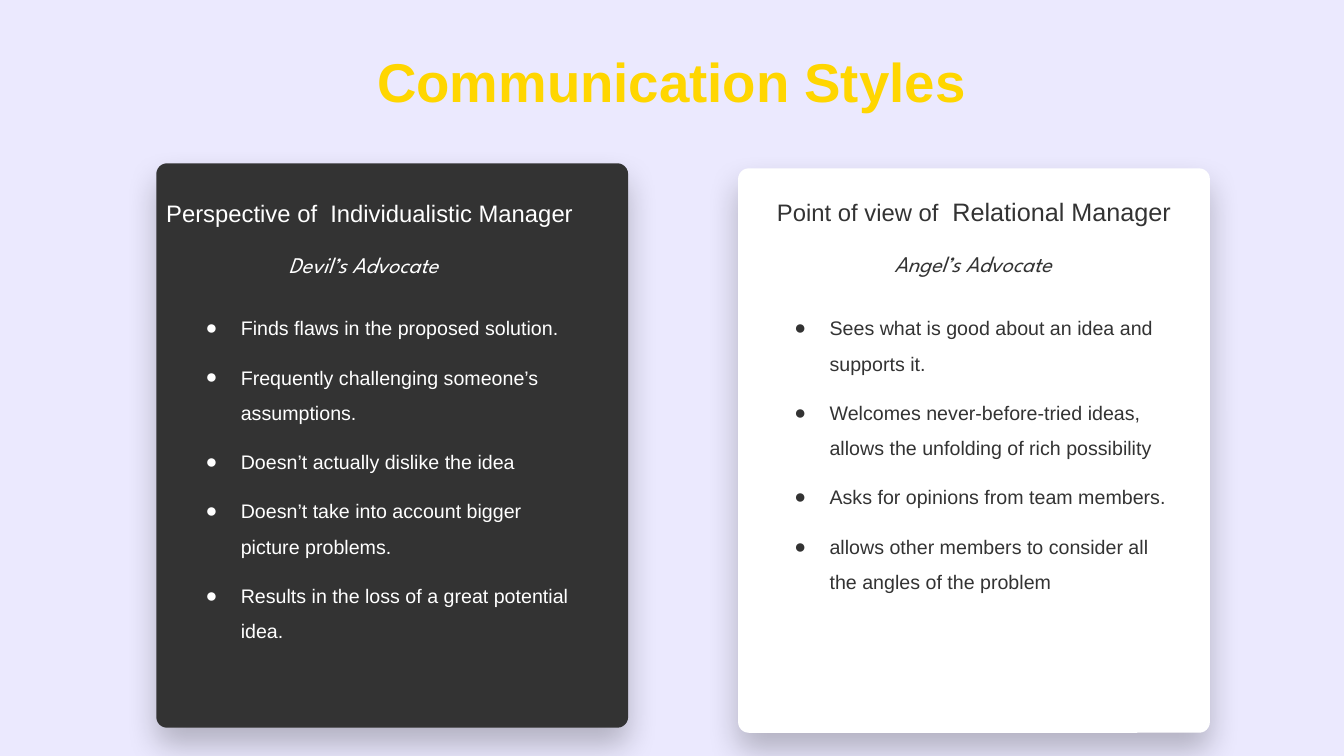
"""Build the Communication Styles slide with two contrasting manager cards."""
from dataclasses import dataclass

from lxml.etree import SubElement
from pptx import Presentation
from pptx.dml.color import RGBColor
from pptx.enum.shapes import MSO_SHAPE as Shape
from pptx.enum.text import MSO_ANCHOR as Anchor, MSO_AUTO_SIZE as AutoSize, PP_ALIGN as Align
from pptx.oxml.ns import qn
from pptx.util import Emu, Pt

PX = 9144
DARK, WHITE, GOLD, LAVENDER = "333333", "FFFFFF", "FFD600", "EBE9FE"
CARD_WIDTH, CARD_HEIGHT = 468, 560
LIST_TOP, LIST_WIDTH = 292, 406


@dataclass(frozen=True)
class Area:
    left: int
    top: int
    width: int
    height: int


@dataclass(frozen=True)
class Span:
    text: str
    size: int
    font: str = "Arial"
    bold: bool = False
    italic: bool = False


@dataclass(frozen=True)
class Card:
    left: int
    top: int
    fill: str
    ink: str
    heading: tuple[Span, ...]
    heading_area: Area
    heading_align: Align
    role: str
    role_area: Area
    list_left: int
    list_height: int
    points: tuple[str, ...]


CARDS = (
    Card(
        155, 162, DARK, WHITE,
        (Span("Perspective of  Individualistic Manager", 17),),
        Area(155, 192, 490, 39), Align.LEFT,
        "Devil’s Advocate", Area(197, 231, 327, 33),
        179, 383,
        (
            "Finds flaws in the proposed solution.",
            "Frequently challenging someone’s assumptions.",
            "Doesn’t actually dislike the idea",
            "Doesn’t take into account bigger picture problems.",
            "Results in the loss of a great potential idea.",
        ),
    ),
    Card(
        732, 167, WHITE, DARK,
        (Span("Point of view of ", 17), Span(" Relational Manager", 18)),
        Area(732, 190, 468, 40), Align.CENTER,
        "Angel’s Advocate", Area(804, 230, 322, 38),
        763, 369,
        (
            "Sees what is good about an idea and supports it.",
            "Welcomes never-before-tried ideas, allows the unfolding of rich possibility",
            "Asks for opinions from team members.",
            "allows other members to consider all the angles of the problem",
        ),
    ),
)


def px(length: int) -> Emu:
    return Emu(length * PX)


def colour(value: str) -> RGBColor:
    return RGBColor.from_string(value)


def bounds(area: Area) -> tuple[Emu, ...]:
    return px(area.left), px(area.top), px(area.width), px(area.height)


def prepare_frame(frame, inset: int = 5) -> None:
    frame.word_wrap = True
    frame.auto_size = AutoSize.NONE
    frame.vertical_anchor = Anchor.TOP
    frame.margin_left = frame.margin_right = px(10)
    frame.margin_top = frame.margin_bottom = px(inset)


def add_span(para, span: Span, ink: str) -> None:
    run = para.add_run()
    run.text = span.text
    font = run.font
    font.name, font.size = span.font, Pt(span.size)
    font.bold, font.italic = span.bold, span.italic
    font.color.rgb = colour(ink)


def add_line(page, area: Area, spans: tuple[Span, ...], ink: str,
             align: Align, spacing: float = 1.0) -> None:
    frame = page.shapes.add_textbox(*bounds(area)).text_frame
    prepare_frame(frame)
    para = frame.paragraphs[0]
    para.alignment, para.line_spacing = align, spacing
    for span in spans:
        add_span(para, span, ink)


def add_bullet(para, ink: str) -> None:
    properties = para._p.get_or_add_pPr()
    properties.set("marL", str(px(50)))
    properties.set("indent", str(px(-35)))
    bullet_colour = SubElement(properties, qn("a:buClr"))
    SubElement(bullet_colour, qn("a:srgbClr"), val=ink)
    SubElement(properties, qn("a:buFont"), typeface="Arial")
    SubElement(properties, qn("a:buChar"), char="●")


def add_points(page, card: Card) -> None:
    area = Area(card.list_left, LIST_TOP, LIST_WIDTH, card.list_height)
    frame = page.shapes.add_textbox(*bounds(area)).text_frame
    prepare_frame(frame, inset=10)
    for index, point in enumerate(card.points):
        para = frame.add_paragraph() if index else frame.paragraphs[0]
        add_bullet(para, card.ink)
        para.line_spacing = 1.5
        para.space_before = Pt(10 if index else 0)
        add_span(para, Span(point, 14), card.ink)


def add_shadow(shape) -> None:
    shape.shadow.inherit = False
    effects = shape._element.spPr.find(qn("a:effectLst"))
    shadow = SubElement(effects, qn("a:outerShdw"), blurRad=str(Pt(23)), dist=str(Pt(12)),
                        dir="5400000", algn="t", rotWithShape="0")
    tint = SubElement(shadow, qn("a:srgbClr"), val="000000")
    SubElement(tint, qn("a:alpha"), val="24000")


def add_card(page, card: Card) -> None:
    area = Area(card.left, card.top, CARD_WIDTH, CARD_HEIGHT)
    panel = page.shapes.add_shape(Shape.ROUNDED_RECTANGLE, *bounds(area))
    panel.adjustments[0] = 0.023
    panel.fill.solid()
    panel.fill.fore_color.rgb = colour(card.fill)
    panel.line.fill.background()
    add_shadow(panel)
    add_line(page, card.heading_area, card.heading, card.ink, card.heading_align)
    role = Span(card.role, 16, "League Spartan", italic=True)
    add_line(page, card.role_area, (role,), card.ink, Align.CENTER, 1.5)
    add_points(page, card)


def add_title(page) -> None:
    title = page.shapes.title
    title.left, title.top, title.width, title.height = bounds(Area(355, 43, 622, 76))
    prepare_frame(title.text_frame)
    para = title.text_frame.paragraphs[0]
    para.alignment = Align.CENTER
    add_span(para, Span("Communication Styles", 39, bold=True), GOLD)


def main() -> None:
    deck = Presentation()
    deck.slide_width, deck.slide_height = px(1333), px(750)
    page = deck.slides.add_slide(deck.slide_layouts[5])
    page.background.fill.solid()
    page.background.fill.fore_color.rgb = colour(LAVENDER)
    add_title(page)
    for card in CARDS:
        add_card(page, card)
    deck.save("out.pptx")


if __name__ == "__main__":
    main()
